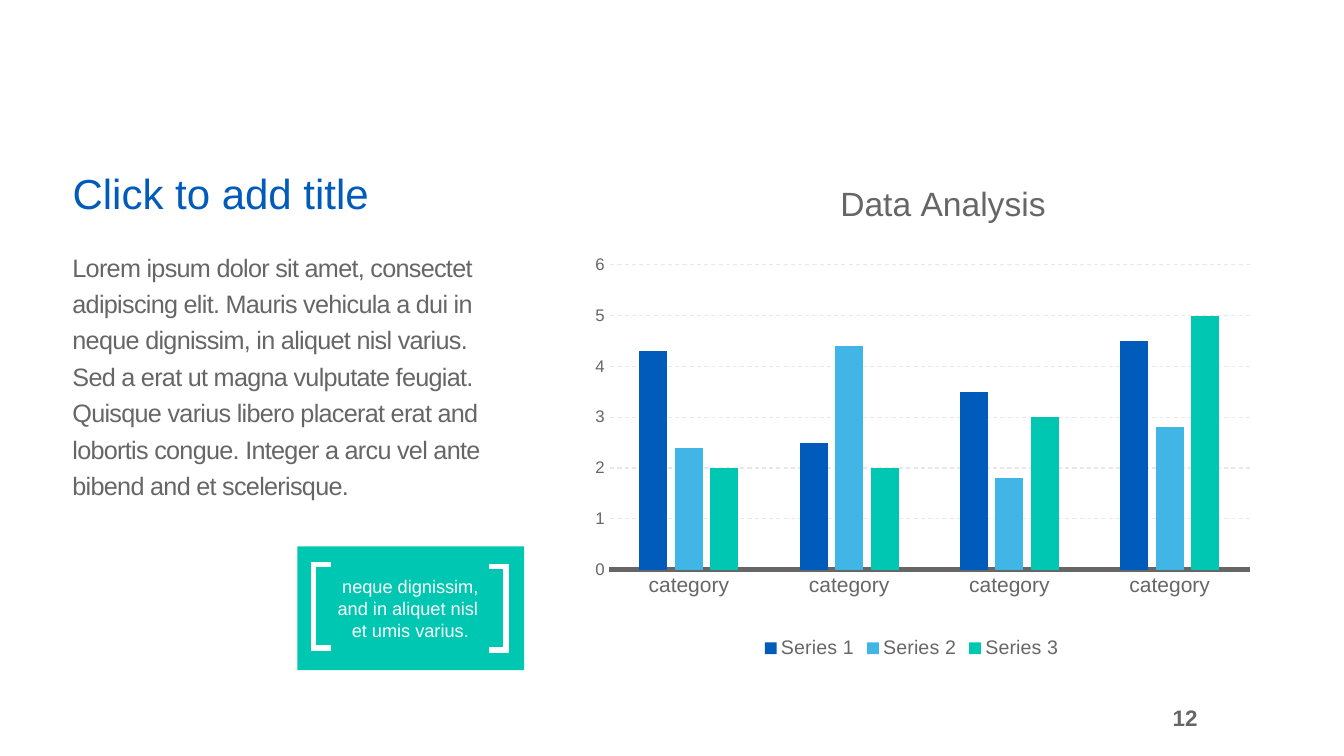
from dataclasses import dataclass

from lxml.etree import SubElement
from pptx import Presentation
from pptx.chart.chart import Chart
from pptx.chart.data import CategoryChartData
from pptx.dml.color import RGBColor
from pptx.enum.chart import XL_CHART_TYPE as ChartType
from pptx.enum.chart import XL_LEGEND_POSITION as LegendPosition
from pptx.enum.chart import XL_TICK_MARK as TickMark
from pptx.enum.dml import MSO_LINE as LineDash
from pptx.enum.shapes import MSO_SHAPE as ShapeType
from pptx.enum.text import MSO_ANCHOR as Anchor
from pptx.enum.text import PP_ALIGN as Align
from pptx.oxml.ns import qn
from pptx.slide import Slide
from pptx.text.text import Font
from pptx.util import Pt

FONT = "Arial"
COLORS = {
    "blue": "005BBB",
    "sky": "41B6E6",
    "teal": "00C7B1",
    "gray": "666666",
    "grid": "E8E8E8",
    "white": "FFFFFF",
}
BODY = (
    "Lorem ipsum dolor sit amet, consectet adipiscing elit. Mauris vehicula a dui in "
    "neque dignissim, in aliquet nisl varius. Sed a erat ut magna vulputate feugiat. "
    "Quisque varius libero placerat erat and lobortis congue. Integer a arcu vel ante "
    "bibend and et scelerisque."
)


@dataclass(frozen=True)
class Frame:
    left: float
    top: float
    width: float
    height: float

    def lengths(self) -> tuple[Pt, Pt, Pt, Pt]:
        return Pt(self.left), Pt(self.top), Pt(self.width), Pt(self.height)


@dataclass(frozen=True)
class TextBlock:
    frame: Frame
    text: str
    size: float
    color: str
    align: Align = Align.LEFT
    anchor: Anchor = Anchor.TOP
    bold: bool = False
    line_spacing: float | Pt | None = None
    tracking: int = 0  # hundredths of a point
    inset: tuple[float, float] = (7.2, 3.6)


@dataclass(frozen=True)
class Bracket:
    spine: float
    top: float
    direction: int  # 1 opens to the right, -1 to the left


@dataclass(frozen=True)
class Series:
    name: str
    values: tuple[float, ...]
    color: str


TITLE = TextBlock(Frame(44.64, 103.68, 336.24, 56.16), "Click to add title", 30, "blue",
                  anchor=Anchor.BOTTOM, line_spacing=0.9)
TEXT_BLOCKS = (
    TextBlock(Frame(44.64, 172.08, 315.36, 218.16), BODY, 18, "gray",
              line_spacing=Pt(26), tracking=-50),
    TextBlock(Frame(231.12, 407.52, 123.84, 54.72),
              "neque dignissim, and in aliquet nisl \vet umis varius.", 13, "white",
              align=Align.CENTER),
    TextBlock(Frame(807.84, 491.76, 56.88, 41.76), "12", 16, "gray", align=Align.RIGHT,
              anchor=Anchor.MIDDLE, bold=True, inset=(9.36, 5.04)),
)
CALLOUT = Frame(212.4, 390.24, 162, 88.56)
BRACKETS = (Bracket(222.5, 401.75, 1), Bracket(363.1, 403.2, -1))
CHART_FRAME = Frame(399.6, 122.4, 503.28, 351.36)
SERIES = (
    Series("Series 1", (4.3, 2.5, 3.5, 4.5), "blue"),
    Series("Series 2", (2.4, 4.4, 1.8, 2.8), "sky"),
    Series("Series 3", (2, 2, 3, 5), "teal"),
)


def rgb(color: str) -> RGBColor:
    return RGBColor.from_string(COLORS[color])


def style_font(font: Font, size: float, color: str, bold: bool = False) -> None:
    font.name, font.size, font.bold = FONT, Pt(size), bold
    font.color.rgb = rgb(color)


def fill_text(box, block: TextBlock) -> None:
    box.left, box.top, box.width, box.height = block.frame.lengths()
    frame = box.text_frame
    frame.word_wrap = True
    frame.vertical_anchor = block.anchor
    frame.margin_left = frame.margin_right = Pt(block.inset[0])
    frame.margin_top = frame.margin_bottom = Pt(block.inset[1])
    frame.text = block.text
    para = frame.paragraphs[0]
    para.alignment = block.align
    para.line_spacing = block.line_spacing
    para.space_before = Pt(0)
    style_font(para.font, block.size, block.color, block.bold)
    if block.tracking:
        for span in para.runs:
            span.font._element.set("spc", str(block.tracking))


def add_callout(slide: Slide) -> None:
    card = slide.shapes.add_shape(ShapeType.RECTANGLE, *CALLOUT.lengths())
    card.shadow.inherit = False
    card.fill.solid()
    card.fill.fore_color.rgb = rgb("teal")
    card.line.fill.background()
    for bracket in BRACKETS:
        add_bracket(slide, bracket)


def add_bracket(slide: Slide, bracket: Bracket) -> None:
    depth, height, stroke = 13.5, 62.6, 2.9
    corners = ((depth, 0), (0, 0), (0, height), (depth, height),
               (depth, height - stroke), (stroke, height - stroke),
               (stroke, stroke), (depth, stroke))
    points = [(Pt(bracket.spine + bracket.direction * x), Pt(bracket.top + y))
              for x, y in corners]
    builder = slide.shapes.build_freeform(*points[0])
    builder.add_line_segments(points[1:], close=True)
    outline = builder.convert_to_shape()
    outline.shadow.inherit = False
    outline.fill.solid()
    outline.fill.fore_color.rgb = outline.line.color.rgb = rgb("white")
    outline.line.width = Pt(1)


def set_layout(parent, index: int, **values: object) -> None:
    """Place a chart part by hand, in fractions of the chart's size."""
    for old in parent.findall(qn("c:layout")):
        parent.remove(old)
    layout = SubElement(parent, qn("c:layout"))
    parent.insert(index, layout)
    manual = SubElement(layout, qn("c:manualLayout"))
    for tag, value in values.items():
        SubElement(manual, qn(f"c:{tag}")).set("val", str(value))


def style_axes(chart: Chart) -> None:
    categories, values = chart.category_axis, chart.value_axis
    for axis, size in ((categories, 15), (values, 12)):
        axis.major_tick_mark = axis.minor_tick_mark = TickMark.NONE
        style_font(axis.tick_labels.font, size, "gray")
    categories.format.line.color.rgb = rgb("gray")
    categories.format.line.width = Pt(3.25)
    values.minimum_scale, values.maximum_scale, values.major_unit = 0, 6, 1
    values.format.line.fill.background()
    grid = values.major_gridlines.format.line
    grid.color.rgb = rgb("grid")
    grid.width = Pt(0.75)
    grid.dash_style = LineDash.DASH


def add_analysis_chart(slide: Slide) -> None:
    data = CategoryChartData()
    data.categories = ["category"] * 4
    for series in SERIES:
        data.add_series(series.name, series.values)
    chart = slide.shapes.add_chart(ChartType.COLUMN_CLUSTERED, *CHART_FRAME.lengths(), data).chart
    style_font(chart.font, 10, "gray")

    plot = chart.plots[0]
    plot.gap_width, plot.overlap, plot.vary_by_categories = 219, -27, False
    for bars, series in zip(plot.series, SERIES):
        bars.format.fill.solid()
        bars.format.fill.fore_color.rgb = rgb(series.color)
    style_axes(chart)
    set_layout(chart._chartSpace.chart.plotArea, 0, layoutTarget="inner", xMode="edge",
               yMode="edge", x=0.07, y=0.19, w=0.91, h=0.62)

    chart.has_title = True
    title = chart.chart_title
    title.text_frame.text = "Data Analysis"
    style_font(title.text_frame.paragraphs[0].font, 24, "gray")
    set_layout(title._element, 1, xMode="edge", yMode="edge", x=0.39, y=0.01)

    chart.has_legend = True
    chart.legend.position = LegendPosition.BOTTOM
    chart.legend.include_in_layout = False
    style_font(chart.legend.font, 14, "gray")


def main() -> None:
    deck = Presentation()
    deck.slide_width, deck.slide_height = Pt(960), Pt(540)
    page = deck.slides.add_slide(deck.slide_layouts[5])
    fill_text(page.shapes.title, TITLE)
    add_analysis_chart(page)
    add_callout(page)
    for block in TEXT_BLOCKS:
        fill_text(page.shapes.add_textbox(*block.frame.lengths()), block)
    deck.save("out.pptx")


if __name__ == "__main__":
    main()
